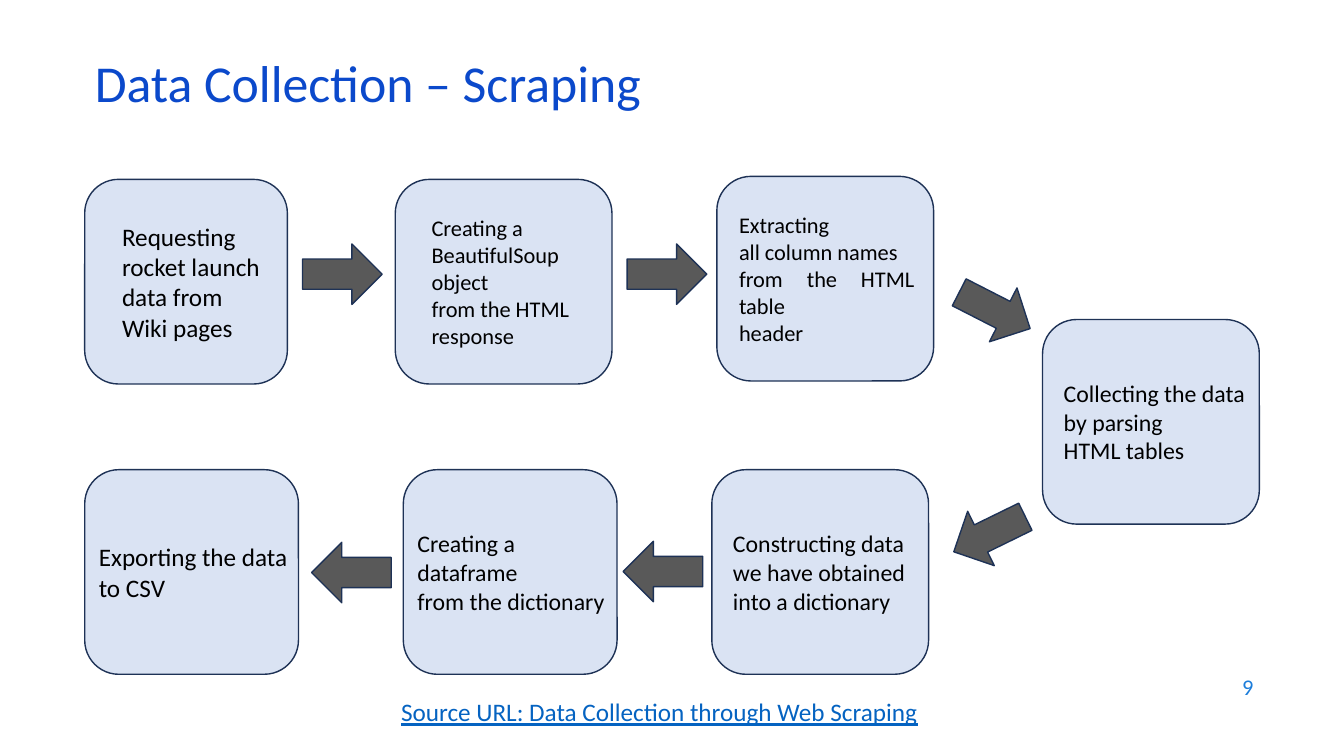
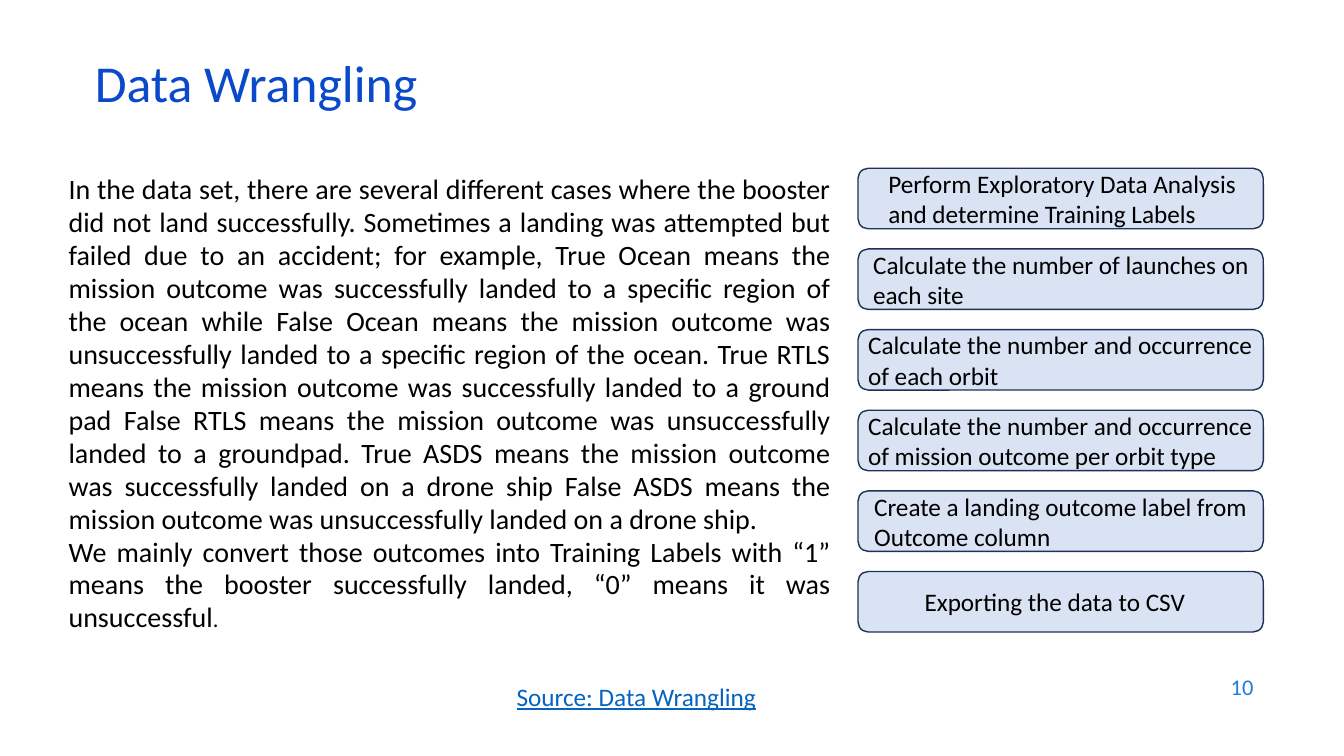
from dataclasses import dataclass

from lxml.etree import SubElement
from pptx import Presentation
from pptx.dml.color import RGBColor
from pptx.enum.shapes import MSO_SHAPE
from pptx.enum.text import MSO_ANCHOR, MSO_AUTO_SIZE, PP_ALIGN
from pptx.oxml.ns import qn
from pptx.util import Emu, Pt

PX = 9144  # 100 px to the inch
CORNER = 0.1667 * 0.2929  # share of the short side that a rounded box keeps clear of text


@dataclass(frozen=True)
class Theme:
    font: str = "Calibri"
    title: RGBColor = RGBColor(0x0B, 0x49, 0xCB)
    number: RGBColor = RGBColor(0x1C, 0x7D, 0xDB)
    link: RGBColor = RGBColor(0x05, 0x63, 0xC1)
    text: RGBColor = RGBColor(0, 0, 0)
    card: RGBColor = RGBColor(0xDA, 0xE3, 0xF3)
    arrow: RGBColor = RGBColor(0x59, 0x59, 0x59)
    outline: RGBColor = RGBColor(0x1E, 0x32, 0x56)
    title_size: int = 37
    body_size: int = 20
    label_size: int = 18
    medium_size: int = 17
    small_size: int = 16


THEME = Theme()
LEFT, RIGHT, CENTER, JUSTIFY = PP_ALIGN.LEFT, PP_ALIGN.RIGHT, PP_ALIGN.CENTER, PP_ALIGN.JUSTIFY


def px(length):
    return Emu(round(length * PX))


def emu_box(box):
    return [px(length) for length in box]


def place(shape, box):
    shape.left, shape.top, shape.width, shape.height = emu_box(box)


def write(frame, lines, size, color=THEME.text, align=LEFT, anchor=MSO_ANCHOR.MIDDLE):
    """Fill a text frame with one paragraph per line, all in one style."""
    frame.word_wrap = True
    frame.auto_size = MSO_AUTO_SIZE.NONE
    frame.vertical_anchor = anchor
    frame.text = "\n".join(lines)
    for paragraph in frame.paragraphs:
        paragraph.alignment = align
        paragraph.space_before = Pt(0)
        paragraph.font.name = THEME.font
        paragraph.font.size = Pt(size)
        paragraph.font.color.rgb = color


def add_filled(slide, kind, box, fill):
    shape = slide.shapes.add_shape(kind, *emu_box(box))
    shape.shadow.inherit = False
    shape.fill.solid()
    shape.fill.fore_color.rgb = fill
    shape.line.color.rgb = THEME.outline
    shape.line.width = Pt(1)
    return shape


def add_card(slide, box, lines, size, left, right, align=LEFT):
    """Rounded box whose text keeps left and right px from its sides."""
    card = add_filled(slide, MSO_SHAPE.ROUNDED_RECTANGLE, box, THEME.card)
    corner = CORNER * min(box[2:])
    frame = card.text_frame
    frame.margin_left = px(max(0, left - corner))
    frame.margin_right = px(max(0, right - corner))
    frame.margin_top = frame.margin_bottom = 0
    write(frame, lines, size, align=align)


def add_arrow(slide, left, top, rotation):
    arrow = add_filled(slide, MSO_SHAPE.RIGHT_ARROW, (left, top, 79, 60), THEME.arrow)
    arrow.rotation = rotation


def add_text(slide, box, line, size, color, align=LEFT):
    frame = slide.shapes.add_textbox(*emu_box(box)).text_frame
    write(frame, [line], size, color, align)
    return frame


def add_link(slide, box, line, align=LEFT):
    frame = add_text(slide, box, line, THEME.label_size, THEME.link, align)
    frame.paragraphs[0].font.underline = True


def add_page(deck, layout, title, number):
    """Slide with the shared title and page number."""
    slide = deck.slides.add_slide(deck.slide_layouts.get_by_name(layout))
    place(slide.shapes.title, (84, 59, 1150, 60))
    heading = slide.shapes.title.text_frame
    write(heading, [title], THEME.title_size, THEME.title)
    heading.paragraphs[0].line_spacing = 0.7
    add_text(slide, (953, 659, 300, 44), number, THEME.small_size, THEME.number, RIGHT)
    return slide


def add_body(slide, box, lines):
    """Justified paragraphs without bullets; the closing full stop is smaller."""
    body = slide.placeholders[1]
    place(body, box)
    frame = body.text_frame
    write(frame, lines, THEME.body_size, align=JUSTIFY, anchor=MSO_ANCHOR.TOP)
    for paragraph in frame.paragraphs:
        properties = paragraph.line_spacing = 0.98
        properties = paragraph._p.get_or_add_pPr()
        properties.set("marL", "0")
        properties.set("indent", "0")
        bullet = SubElement(properties, qn("a:buNone"))
        properties.find(qn("a:defRPr")).addprevious(bullet)
    full_stop = frame.paragraphs[-1].add_run()
    full_stop.text = "."
    full_stop.font.size = Pt(THEME.small_size)


def add_step_stack(slide, box, steps):
    """Equal cards, one below the other, over the whole box."""
    left, top, width, height = box
    card_height = 60
    pitch = (height - card_height) / (len(steps) - 1)
    for index, (indent, lines) in enumerate(steps):
        card = (left, top + index * pitch, width, card_height)
        add_card(slide, card, lines, THEME.label_size, indent, 5)


def add_scraping_flow(slide, box):
    """Cards running right along the top, round the side and back along the bottom."""
    x, y, width, height = box
    card_height = 203
    bottom = height - card_height
    small, medium, label = THEME.small_size, THEME.medium_size, THEME.label_size
    cards = [
        (0, 3, 201, label, 37, 13, JUSTIFY,
         ["Requesting", "rocket launch", "data from", "Wiki pages"]),
        (308, 3, 215, small, 36, 29, JUSTIFY,
         ["Creating a", "BeautifulSoup object", "from the HTML", "response"]),
        (627, 0, 215, small, 22, 19, JUSTIFY,
         ["Extracting", "all column names", "from the HTML table", "header"]),
        (width - 215, 142, 215, medium, 21, 10, LEFT,
         ["Collecting the data", "by parsing", "HTML tables"]),
        (622, bottom, 215, medium, 21, 10, LEFT,
         ["Constructing data", "we have obtained", "into a dictionary"]),
        (316, bottom, 212, medium, 14, 10, LEFT,
         ["Creating a dataframe", "from the dictionary"]),
        (0, bottom, 212, label, 14, 10, LEFT,
         ["Exporting the data", "to CSV"]),
    ]
    for left, top, card_width, size, indent, right, align, lines in cards:
        card = (x + left, y + top, card_width, card_height)
        add_card(slide, card, lines, size, indent, right, align)
    arrows = [(216, 67, 0), (538, 67, 0), (863, 103, 27.1),
              (858, 325, 153.9), (534, 362, 180), (225, 363, 180)]
    for left, top, rotation in arrows:
        add_arrow(slide, x + left, y + top, rotation)


def build_scraping(deck):
    slide = add_page(deck, "Title Only", "Data Collection – Scraping", "9")
    add_scraping_flow(slide, (84, 175, 1165, 494))
    add_link(slide, (388, 686, 546, 40), "Source URL: Data Collection through Web Scraping")


def build_wrangling(deck):
    slide = add_page(deck, "Title and Content", "Data Wrangling", "10")
    add_body(slide, (58, 167, 776, 492), [
        "In the data set, there are several different cases where the booster did not land "
        "successfully. Sometimes a landing was attempted but failed due to an accident; for "
        "example, True Ocean means the mission outcome was successfully landed to a specific "
        "region of the ocean while False Ocean means the mission outcome was unsuccessfully "
        "landed to a specific region of the ocean. True RTLS means the mission outcome was "
        "successfully landed to a ground pad False RTLS means the mission outcome was "
        "unsuccessfully landed to a groundpad. True ASDS means the mission outcome was "
        "successfully landed on a drone ship False ASDS means the mission outcome was "
        "unsuccessfully landed on a drone ship.",
        "We mainly convert those outcomes into Training Labels with “1” means the booster "
        "successfully landed, “0” means it was unsuccessful",
    ])
    add_step_stack(slide, (851, 167, 402, 460), [
        (30, ["Perform Exploratory Data Analysis", "and determine Training Labels"]),
        (15, ["Calculate the number of launches on each site"]),
        (10, ["Calculate the number and occurrence of each orbit"]),
        (10, ["Calculate the number and occurrence of mission outcome per orbit type"]),
        (16, ["Create a landing outcome label from Outcome column"]),
        (66, ["Exporting the data to CSV"]),
    ])
    add_link(slide, (392, 671, 478, 40), "Source: Data Wrangling", CENTER)


def main():
    deck = Presentation()
    deck.slide_width, deck.slide_height = px(1333), px(750)
    build_scraping(deck)
    build_wrangling(deck)
    deck.save("out.pptx")


if __name__ == "__main__":
    main()
